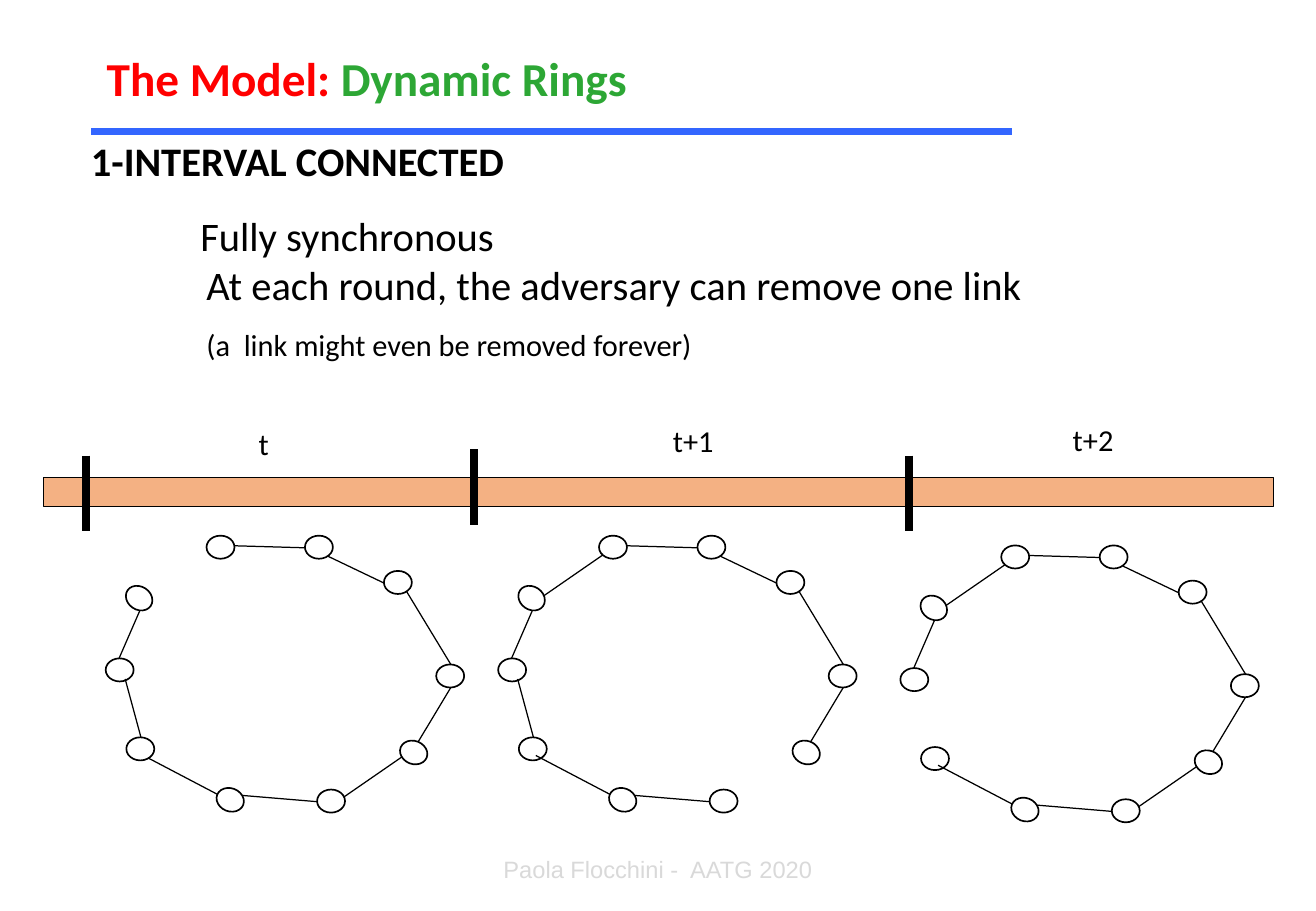
from pptx import Presentation
from pptx.dml.color import RGBColor
from pptx.enum.shapes import MSO_CONNECTOR, MSO_SHAPE
from pptx.enum.text import PP_ALIGN
from pptx.oxml.ns import qn
from pptx.util import Inches, Pt
from lxml.etree import SubElement

# Content: a paragraph is (runs, size, indent, space before); a run is (text, colour, bold)
THEME = {
    "font": "Calibri", "footer_font": "Arial",
    "black": "000000", "white": "FFFFFF", "red": "FF0000", "green": "2DA735",
    "blue": "3366FF", "orange": "F4B183", "grey": "D9D9D9",
    "title": 28, "body": 24, "label": 18, "footer": 14,
    "link": 0.75, "node": 1, "rule": 4, "tick": 4.5,
}
TITLE = [([("The Model: ", "red", True), ("Dynamic Rings", "green", True)], "title", 0, 0)]
HEADING = [([("1-INTERVAL CONNECTED", "black", True)], "body", 0, 0)]
BODY = [
    ([("Fully synchronous", "black", False)], "body", 0.9, 0),
    ([("At each round, the adversary can remove one link", "black", False)], "body", 0.95, 0),
    ([("(a  link might even be removed forever)", "black", False)], "label", 0.95, 10.5),
]
FOOTER = [([("Paola Flocchini -  AATG 2020", "grey", False)], "footer", 0, 0)]
ROUNDS = [("t", 2.03, 3.45), ("t+1", 5.44, 3.43), ("t+2", 8.73, 3.42)]
TICKS = [(0.71, 3.75), (3.9, 3.7), (7.48, 3.75)]
TICK_LENGTH = 0.62

# Ring: left, top and rotation of each node, clockwise
NODE_WIDTH, NODE_HEIGHT = 0.23, 0.19
NODES = {
    "A": (1.7, 4.41, 0), "B": (2.51, 4.41, 0), "C": (3.16, 4.7, 0),
    "D": (3.59, 5.47, 0), "E": (3.29, 6.1, 21.5), "F": (2.61, 6.5, 0),
    "G": (1.78, 6.49, 21.5), "H": (1.04, 6.07, 0), "I": (0.87, 5.42, 0),
    "J": (1.03, 4.83, 33.8),
}
LINKS = {
    "AB": (1.81, 4.49, 2.51, 4.51), "BC": (2.7, 4.58, 3.16, 4.8),
    "CD": (3.31, 4.81, 3.71, 5.47), "DE": (3.71, 5.66, 3.44, 6.11),
    "EF": (3.31, 6.23, 2.76, 6.61), "FG": (2.61, 6.6, 1.89, 6.54),
    "GH": (1.79, 6.54, 1.18, 6.22), "HI": (1.16, 6.07, 1.03, 5.59),
    "IJ": (0.98, 5.42, 1.18, 4.96), "JA": (1.18, 4.95, 1.73, 4.57),
}
# Per round: shift right, shift down, removed link, nodes without fill
RINGS = [(0, 0, "JA", "BDEI"), (3.23, 0, "EF", "BDEFHI"), (6.54, 0.08, "HI", "BDEHI")]


def colour(name):
    return RGBColor.from_string(THEME[name])


def add_text(slide, box, paragraphs, wrap=False, font="font", align=PP_ALIGN.LEFT):
    frame = slide.shapes.add_textbox(*map(Inches, box)).text_frame
    frame.word_wrap = wrap
    for index, (runs, size, indent, space) in enumerate(paragraphs):
        paragraph = frame.add_paragraph() if index else frame.paragraphs[0]
        paragraph.alignment = align
        paragraph.space_before = Pt(space)
        paragraph._p.get_or_add_pPr().set("marL", str(Inches(indent)))
        for text, shade, bold in runs:
            run = paragraph.add_run()
            run.text = text
            run.font.color.rgb = colour(shade)
            formats = {"name": THEME[font], "size": Pt(THEME[size]), "bold": bold}
            for attribute, value in formats.items():
                setattr(run.font, attribute, value)


def add_line(slide, ends, weight, shade="black"):
    line = slide.shapes.add_connector(MSO_CONNECTOR.STRAIGHT, *map(Inches, ends))
    line.line.color.rgb = colour(shade)
    line.line.width = Pt(THEME[weight])
    SubElement(line._element.spPr, qn("a:effectLst"))


def add_outlined(slide, kind, box, weight, fill=None, rotation=0):
    shape = slide.shapes.add_shape(kind, *map(Inches, box))
    shape.shadow.inherit = False
    shape.rotation = rotation
    if fill:
        shape.fill.solid()
        shape.fill.fore_color.rgb = colour(fill)
    else:
        shape.fill.background()
    shape.line.color.rgb = colour("black")
    shape.line.width = Pt(THEME[weight])


def add_ring(slide, right, down, removed, unfilled):
    for name, (x1, y1, x2, y2) in LINKS.items():
        if name != removed:
            add_line(slide, (x1 + right, y1 + down, x2 + right, y2 + down), "link")
    for name, (left, top, rotation) in NODES.items():
        box = (left + right, top + down, NODE_WIDTH, NODE_HEIGHT)
        fill = None if name in unfilled else "white"
        add_outlined(slide, MSO_SHAPE.OVAL, box, "node", fill, rotation)


def main():
    presentation = Presentation()
    presentation.slide_width = Inches(10.83)
    presentation.slide_height = Inches(7.5)
    slide = presentation.slides.add_slide(presentation.slide_layouts[6])

    # Title, heading and statement
    add_text(slide, (0.78, 0.36, 4.53, 0.57), TITLE)
    add_line(slide, (0.75, 1.08, 8.33, 1.08), "rule", "blue")
    add_text(slide, (0.65, 1.07, 3.63, 0.5), HEADING)
    add_text(slide, (0.65, 1.69, 9.13, 1.36), BODY, wrap=True)

    # Timeline
    add_outlined(slide, MSO_SHAPE.RECTANGLE, (0.36, 3.93, 10.12, 0.24), "link", "orange")
    for x, top in TICKS:
        add_line(slide, (x, top, x, top + TICK_LENGTH), "tick")
    for text, left, top in ROUNDS:
        add_text(slide, (left, top, 0.54, 0.4), [([(text, "black", False)], "label", 0, 0)])

    # One ring per round
    for ring in RINGS:
        add_ring(slide, *ring)

    # Footer
    add_text(slide, (3.7, 6.99, 3.43, 0.32), FOOTER, True, "footer_font", PP_ALIGN.CENTER)
    presentation.save("out.pptx")


if __name__ == "__main__":
    main()
